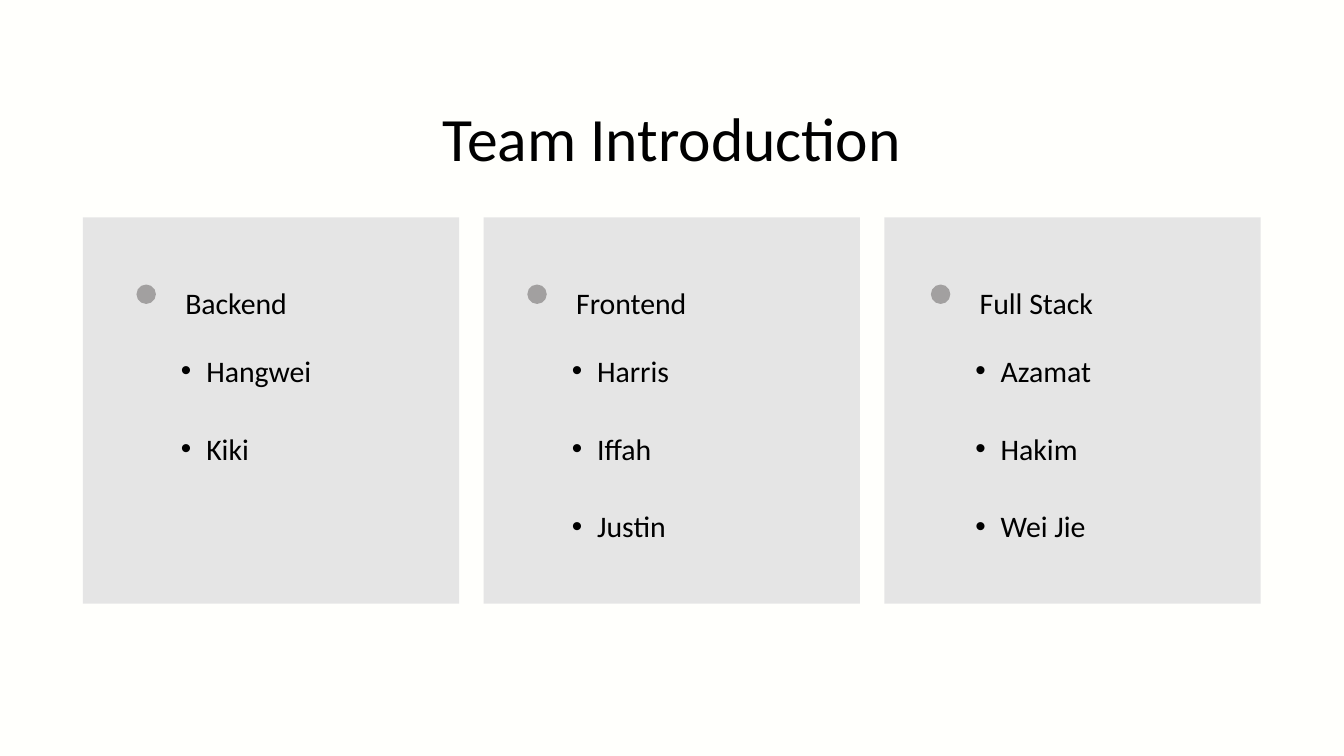
from lxml.etree import SubElement
from pptx import Presentation
from pptx.dml.color import RGBColor
from pptx.enum.shapes import MSO_SHAPE as Shape
from pptx.enum.text import MSO_AUTO_SIZE as AutoSize, PP_ALIGN as Align
from pptx.oxml.ns import qn
from pptx.util import Cm, Pt

IVORY = RGBColor(0xFF, 0xFF, 0xFC)
CARD_GREY = RGBColor(0xE5, 0xE5, 0xE5)
DOT_GREY = RGBColor(0xA2, 0xA0, 0xA0)
BLACK = RGBColor(0, 0, 0)

CARD_LEFT, CARD_TOP, CARD_PITCH = 2.09, 5.48, 10.1
CARD_WIDTH, CARD_HEIGHT = 9.48, 9.73
DOT_SIZE, DOT_TOP = 0.49, 7.17
HEADING_OFFSET, HEADING_TOP = 1.23, 7.02
NAME_TOP, NAME_PITCH = 8.73, 1.96
LINE_HEIGHT = 1.0

# Heading, left edge, heading width, name width, names
TEAMS = [
    ("Backend", 3.44, 5.74, 4.9, ["Hangwei", "Kiki"]),
    ("Frontend", 13.29, 4.63, 6.8, ["Harris", "Iffah", "Justin"]),
    ("Full Stack", 23.46, 5.38, 6.8, ["Azamat", "Hakim", "Wei Jie"]),
]


def add_block(page, kind, left, top, width, height, color):
    block = page.shapes.add_shape(kind, Cm(left), Cm(top), Cm(width), Cm(height))
    block.shadow.inherit = False
    block.fill.solid()
    block.fill.fore_color.rgb = color
    block.line.fill.background()


def add_text(page, text, left, top, width, height=LINE_HEIGHT, size=21.3, spacing=29.9):
    box = page.shapes.add_textbox(Cm(left), Cm(top), Cm(width), Cm(height))
    frame = box.text_frame
    frame.margin_left = frame.margin_right = frame.margin_top = frame.margin_bottom = 0
    frame.word_wrap = True
    frame.auto_size = AutoSize.SHAPE_TO_FIT_TEXT
    para = frame.paragraphs[0]
    para.text = text
    para.line_spacing = Pt(spacing)
    para.font.name = "Calibri"
    para.font.size = Pt(size)
    para.font.color.rgb = BLACK
    return para


def add_bullet(para):
    para.level = 1
    properties = para._p.get_or_add_pPr()
    properties.set("marL", str(Cm(1.27)))
    properties.set("indent", str(-Cm(0.64)))
    bullet_font = SubElement(properties, qn("a:buFont"))
    bullet_font.set("typeface", "Arial")
    bullet = SubElement(properties, qn("a:buChar"))
    bullet.set("char", "•")
    # The paragraph's font defaults must follow its bullet
    properties.append(properties.find(qn("a:defRPr")))


def add_team(page, heading, left, heading_width, name_width, names):
    add_block(page, Shape.OVAL, left, DOT_TOP, DOT_SIZE, DOT_SIZE, DOT_GREY)
    add_text(page, heading, left + HEADING_OFFSET, HEADING_TOP, heading_width)
    for row, name in enumerate(names):
        top = NAME_TOP + row * NAME_PITCH
        add_bullet(add_text(page, name, left + DOT_SIZE, top, name_width))


def main():
    deck = Presentation()
    deck.slide_width, deck.slide_height = Cm(33.87), Cm(19.05)
    page = deck.slides.add_slide(deck.slide_layouts[6])
    page.background.fill.solid()
    page.background.fill.fore_color.rgb = IVORY

    # Cards
    for column in range(len(TEAMS)):
        left = CARD_LEFT + column * CARD_PITCH
        add_block(page, Shape.RECTANGLE, left, CARD_TOP, CARD_WIDTH, CARD_HEIGHT, CARD_GREY)

    # Teams
    for team in TEAMS:
        add_team(page, *team)

    # Title
    title = add_text(page, "Team Introduction", 1.91, 2.2, 30.05, 2.09, 44, 61.6)
    title.alignment = Align.CENTER

    deck.save("out.pptx")


if __name__ == "__main__":
    main()
